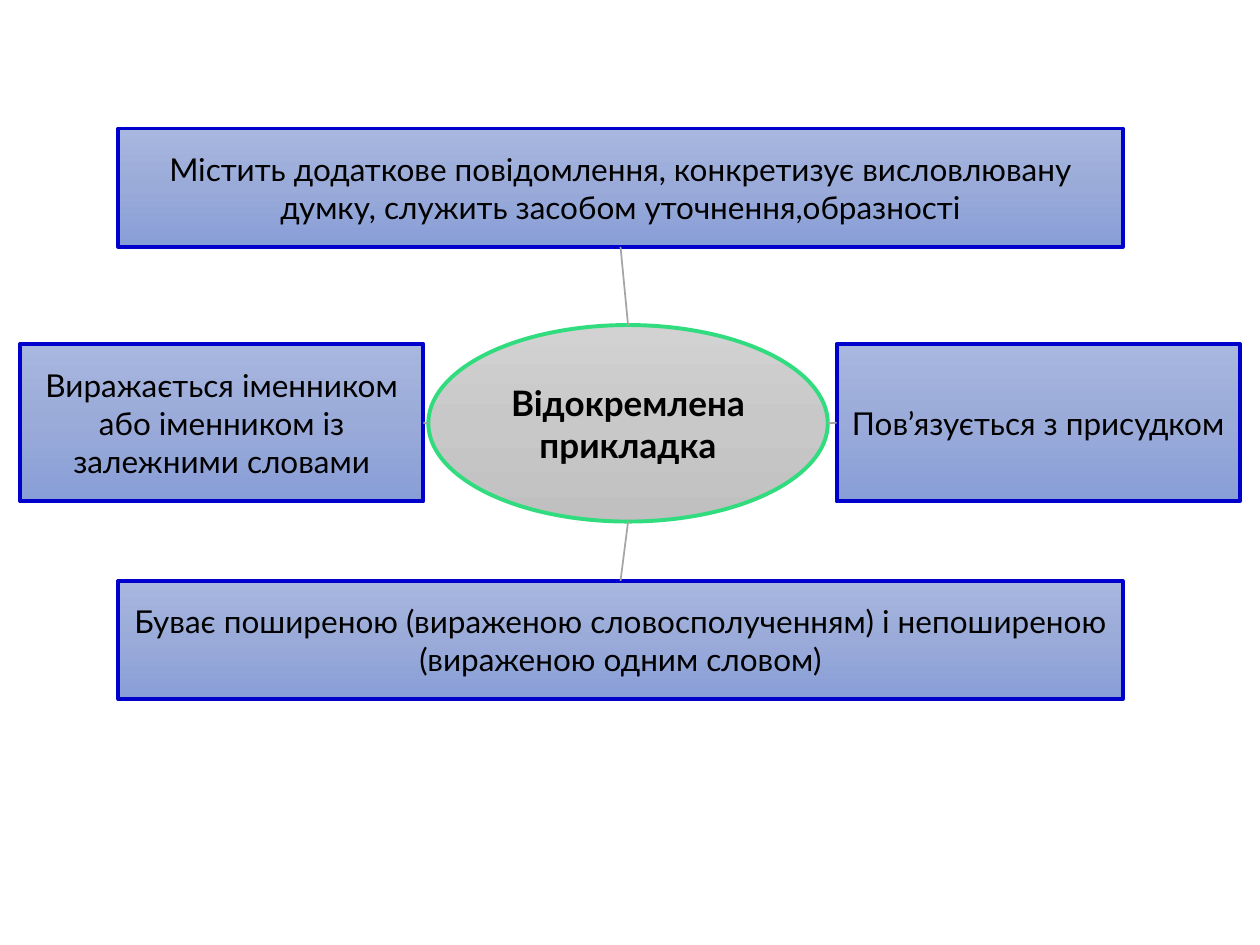
from copy import deepcopy
from pptx import Presentation
from pptx.dml.color import RGBColor
from pptx.enum.shapes import MSO_CONNECTOR as Link, MSO_SHAPE as Shape
from pptx.enum.text import MSO_ANCHOR as Anchor, PP_ALIGN as Align
from pptx.oxml.ns import qn
from pptx.util import Inches, Pt
from lxml import etree

BLUE = ("A8B7DF", "9AABD9", "889ED7")
GRAY = ("D2D2D2", "C8C8C8", "C0C0C0")


def color(code):
    return RGBColor.from_string(code)


def shade(shape, codes):
    """Fill from top to bottom with three evenly spaced colours."""
    fill = shape.fill
    fill.gradient()
    fill.gradient_angle = 270
    first = next(shape._element.spPr.iter(qn("a:gs")))
    first.addnext(deepcopy(first))
    for i, (stop, code) in enumerate(zip(fill.gradient_stops, codes)):
        stop.position = i / 2
        stop.color.rgb = color(code)


def node(slide, kind, box, text, codes, edge, size, bold=False):
    shape = slide.shapes.add_shape(kind, *map(Inches, box))
    shape.shadow.inherit = False
    shade(shape, codes)
    shape.line.color.rgb = color(edge)
    shape.line.width = Pt(2.25)
    frame = shape.text_frame
    frame.word_wrap = True
    frame.vertical_anchor = Anchor.MIDDLE
    frame.text = text
    para = frame.paragraphs[0]
    para.alignment = Align.CENTER
    font = para.runs[0].font
    font.name, font.size, font.bold = "Lato", Pt(size), bold
    font.color.rgb = color("000000")
    return shape


def join(slide, rect, site, x, y):
    """Line from the middle of a rectangle's side to a point."""
    line = slide.shapes.add_connector(Link.STRAIGHT, 0, 0, x, y)
    line.begin_connect(rect, site)
    line.line.color.rgb = color("A5A5A5")
    line.line.width = Pt(1)
    etree.SubElement(line._element.spPr, qn("a:effectLst"))


def diagram(slide, left, top, width, height):
    # Central term
    hub = node(slide, Shape.OVAL, (left + 3.24, top + 1.56, 3.17, 1.56),
               "Відокремлена прикладка", GRAY, "30DC7E", 20, True)
    mid_x, mid_y = hub.left + hub.width // 2, hub.top + hub.height // 2
    right, low = hub.left + hub.width, hub.top + hub.height

    # Features around it: box, joined side, point on the ellipse, text
    wide, tall = 7.97, 0.94
    side, deep = 3.2, 1.25
    inset, drop = left + 0.78, top + 1.71
    parts = [
        ((inset, top + height - tall, wide, tall), 0, (mid_x, low),
         "Буває поширеною (вираженою словосполученням) і непоширеною "
         "(вираженою одним словом)"),
        ((inset, top, wide, tall), 2, (mid_x, hub.top),
         "Містить додаткове повідомлення, конкретизує висловлювану думку, "
         "служить засобом уточнення,образності"),
        ((left + width - side, drop, side, deep), 1, (right, mid_y),
         "Пов’язується з присудком"),
        ((left, drop, side, deep), 3, (hub.left, mid_y),
         "Виражається іменником або іменником із залежними словами"),
    ]
    for box, site, point, text in parts:
        rect = node(slide, Shape.RECTANGLE, box, text, BLUE, "0000CC", 18)
        join(slide, rect, site, *point)


def main():
    deck = Presentation()
    deck.slide_width, deck.slide_height = Inches(10), Inches(7.5)
    slide = deck.slides.add_slide(deck.slide_layouts[6])
    diagram(slide, 0.16, 1.02, 9.68, 4.53)
    deck.save("out.pptx")


if __name__ == "__main__":
    main()
